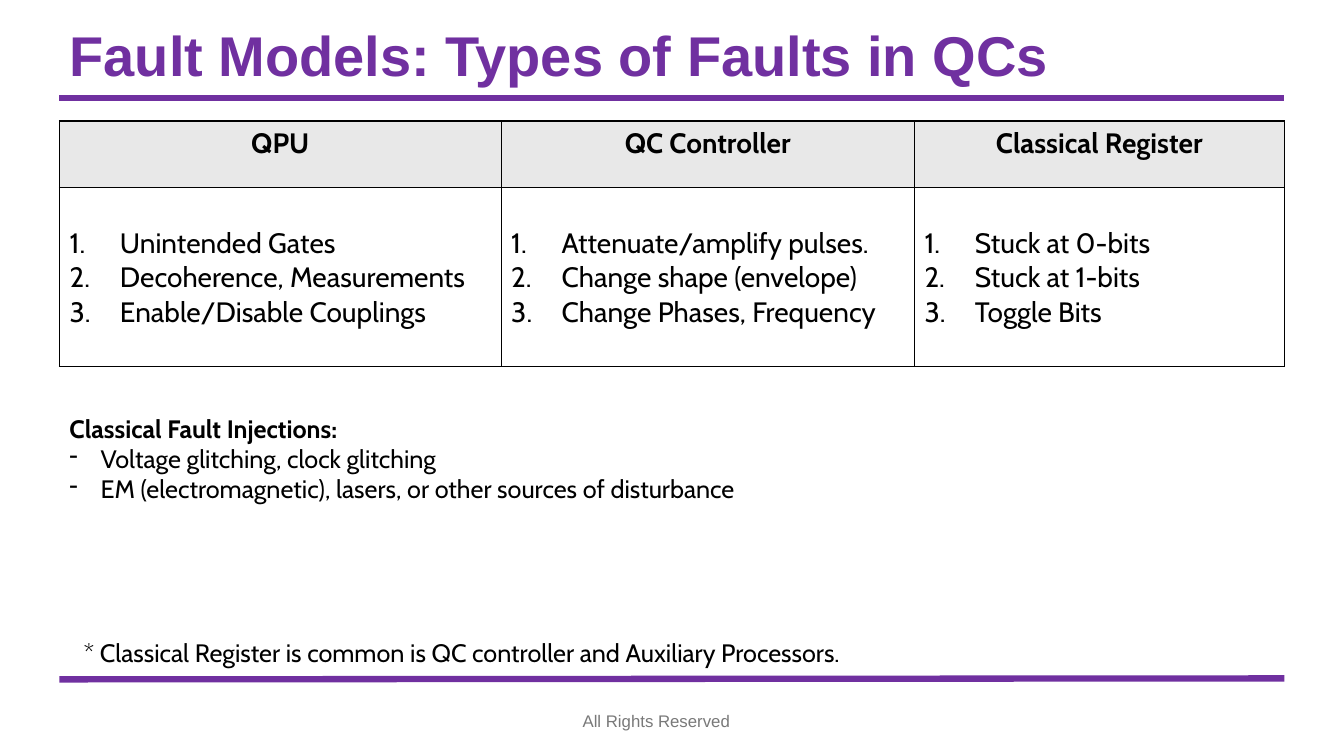
from dataclasses import dataclass

from lxml import etree
from pptx import Presentation
from pptx import util as u
from pptx.dml.color import RGBColor
from pptx.enum import shapes, text
from pptx.oxml import ns


@dataclass(frozen=True)
class Theme:
    purple: str = "7030A0"
    black: str = "000000"
    white: str = "FFFFFF"
    header: str = "E8E8E8"
    grey: str = "797979"
    heading_font: str = "Arial"
    body_font: str = "Cabin"
    title_size: int = 40
    table_size: int = 20
    body_size: int = 18
    footer_size: int = 12


T = Theme()
ALIGN, ANCHOR = text.PP_ALIGN, text.MSO_ANCHOR
LEFT, WIDTH = 0.59, 12.15
TABLE_FONT = dict(name=T.body_font, size=u.Pt(T.table_size))
BODY_FONT = dict(name=T.body_font, size=u.Pt(T.body_size))

FAULTS = {
    "QPU": ["Unintended Gates", "Decoherence, Measurements", "Enable/Disable Couplings"],
    "QC Controller": ["Attenuate/amplify pulses.", "Change shape (envelope)",
                      "Change Phases, Frequency"],
    "Classical Register": ["Stuck at 0-bits", "Stuck at 1-bits", "Toggle Bits"],
}
COLUMN_WIDTHS = [4.38, 4.1, 3.67]
ROW_HEIGHTS = [0.66, 1.78]
INJECTIONS = ["Voltage glitching, clock glitching",
              "EM (electromagnetic), lasers, or other sources of disturbance"]


def set_attrs(obj, values):
    for name, value in values.items():
        setattr(obj, name, value)


def write(p, words, font, color=T.black, **para):
    set_attrs(p, para)
    r = p.add_run()
    r.text = words
    set_attrs(r.font, font)
    r.font.color.rgb = RGBColor.from_string(color)


def add_bullet(p, indent, tag, **attrs):
    pPr = p._p.get_or_add_pPr()
    pPr.set("marL", str(u.Inches(indent)))
    pPr.set("indent", str(u.Inches(-indent)))
    etree.SubElement(pPr, ns.qn(tag), attrs)


def next_paragraph(tf, index):
    return tf.paragraphs[0] if index == 0 else tf.add_paragraph()


def add_title(s, words):
    sp = s.shapes.title
    set_attrs(sp, dict(left=u.Inches(LEFT), top=u.Inches(0.15),
                       width=u.Inches(WIDTH), height=u.Inches(0.85)))
    tf = sp.text_frame
    set_attrs(tf, dict(vertical_anchor=ANCHOR.MIDDLE, word_wrap=True,
                       auto_size=text.MSO_AUTO_SIZE.NONE))
    font = dict(name=T.heading_font, size=u.Pt(T.title_size), bold=True)
    write(tf.paragraphs[0], words, font, T.purple, alignment=ALIGN.LEFT, line_spacing=0.9)


def add_rule(s, y1, y2):
    line = s.shapes.add_connector(shapes.MSO_CONNECTOR.STRAIGHT, u.Inches(LEFT), u.Inches(y1),
                                  u.Inches(LEFT + WIDTH), u.Inches(y2))
    line.line.color.rgb = RGBColor.from_string(T.purple)
    line.line.width = u.Pt(4.5)
    etree.SubElement(line._element.spPr, ns.qn("a:effectLst"))


def add_text_box(s, left, top, width, height, anchor=ANCHOR.TOP):
    tf = s.shapes.add_textbox(*map(u.Inches, (left, top, width, height))).text_frame
    set_attrs(tf, dict(word_wrap=True, vertical_anchor=anchor))
    return tf


def style_cell(cell, fill):
    tcPr = cell._tc.get_or_add_tcPr()
    for side in ("a:lnL", "a:lnR", "a:lnT", "a:lnB"):
        ln = etree.SubElement(tcPr, ns.qn(side), w=str(u.Pt(1)))
        solid = etree.SubElement(ln, ns.qn("a:solidFill"))
        etree.SubElement(solid, ns.qn("a:srgbClr"), val=T.black)
    cell.fill.solid()
    cell.fill.fore_color.rgb = RGBColor.from_string(fill)


def add_fault_table(s):
    table = s.shapes.add_table(len(ROW_HEIGHTS), len(FAULTS), u.Inches(LEFT), u.Inches(1.2),
                               u.Inches(WIDTH), u.Inches(sum(ROW_HEIGHTS))).table
    set_attrs(table, dict(first_row=False, horz_banding=False))
    for row, height in zip(table.rows, ROW_HEIGHTS):
        row.height = u.Inches(height)
    for col, (target, faults) in enumerate(FAULTS.items()):
        table.columns[col].width = u.Inches(COLUMN_WIDTHS[col])
        head, body = table.cell(0, col), table.cell(1, col)
        style_cell(head, T.header)
        style_cell(body, T.white)
        write(head.text_frame.paragraphs[0], target, dict(TABLE_FONT, bold=True),
              alignment=ALIGN.CENTER)
        body.margin_top = u.Inches(0.39)
        for i, fault in enumerate(faults):
            p = next_paragraph(body.text_frame, i)
            write(p, fault, TABLE_FONT, alignment=ALIGN.JUSTIFY)
            add_bullet(p, 0.5, "a:buAutoNum", type="arabicPeriod")


def add_injections(s):
    tf = add_text_box(s, LEFT, 4.05, WIDTH, 1.01)
    write(tf.paragraphs[0], "Classical Fault Injections:", dict(BODY_FONT, bold=True))
    for i, injection in enumerate(INJECTIONS, start=1):
        p = next_paragraph(tf, i)
        write(p, injection, BODY_FONT)
        add_bullet(p, 0.31, "a:buChar", char="-")


def main():
    prs = Presentation()
    set_attrs(prs, dict(slide_width=u.Inches(13.33), slide_height=u.Inches(7.5)))
    s = prs.slides.add_slide(prs.slide_layouts[5])

    # Title and the rules that frame the content
    add_rule(s, 0.97, 0.97)
    add_rule(s, 6.74, 6.73)
    add_title(s, "Fault Models: Types of Faults in QCs")

    # Fault types and classical injections
    add_fault_table(s)
    add_injections(s)

    # Footnote and footer
    note = add_text_box(s, 0.73, 6.27, WIDTH, 0.4)
    write(note.paragraphs[0],
          "* Classical Register is common is QC controller and Auxiliary Processors.", BODY_FONT)
    footer = add_text_box(s, 4.26, 6.95, 4.5, 0.4, ANCHOR.MIDDLE)
    write(footer.paragraphs[0], "All Rights Reserved",
          dict(name=T.heading_font, size=u.Pt(T.footer_size)), T.grey, alignment=ALIGN.CENTER)

    prs.save("out.pptx")


if __name__ == "__main__":
    main()
